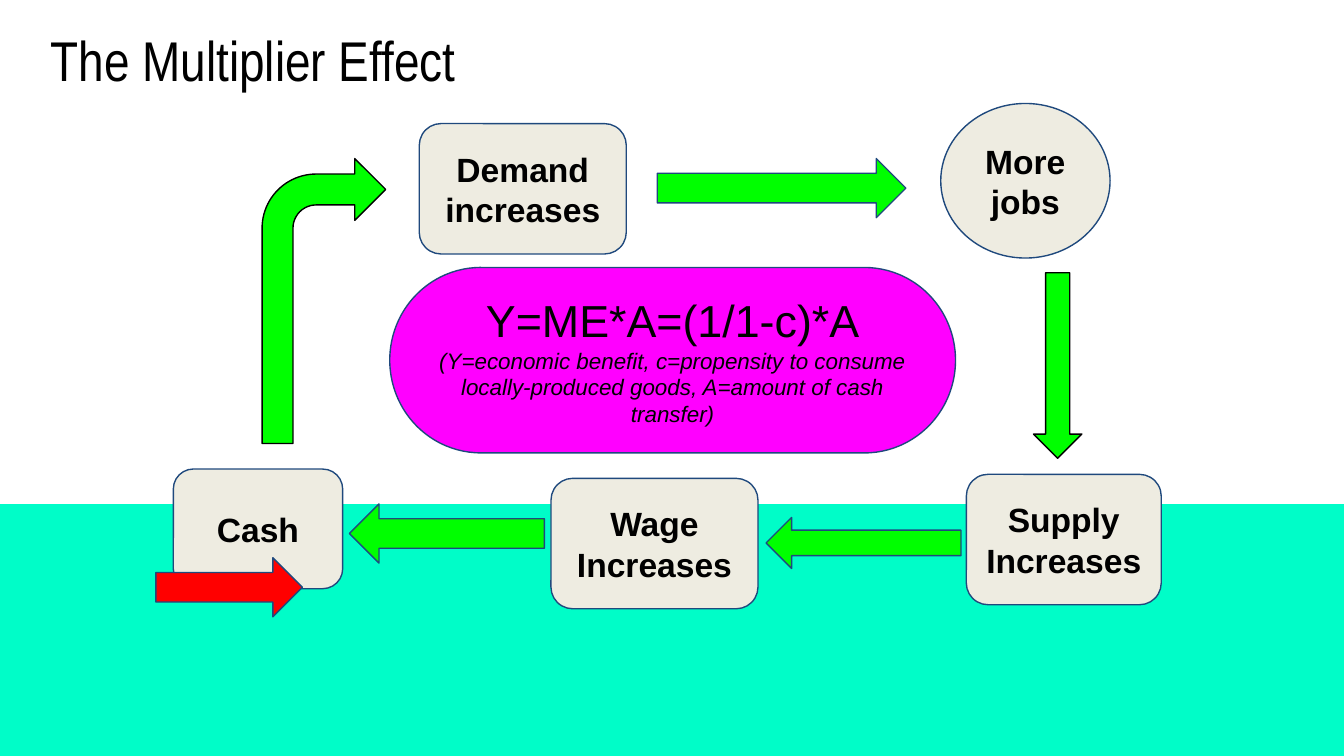
"""Build the multiplier effect cycle slide."""
from pptx import Presentation
from pptx.dml.color import RGBColor
from pptx.enum.shapes import MSO_SHAPE
from pptx.enum.text import MSO_ANCHOR, PP_ALIGN
from pptx.util import Inches, Pt

RECTANGLE, ROUNDED, OVAL = MSO_SHAPE.RECTANGLE, MSO_SHAPE.ROUNDED_RECTANGLE, MSO_SHAPE.OVAL
RIGHT, LEFT, DOWN = MSO_SHAPE.RIGHT_ARROW, MSO_SHAPE.LEFT_ARROW, MSO_SHAPE.DOWN_ARROW
BENT, TERMINATOR = MSO_SHAPE.BENT_ARROW, MSO_SHAPE.FLOWCHART_TERMINATOR
TOP, MIDDLE = MSO_ANCHOR.TOP, MSO_ANCHOR.MIDDLE
CENTER, ALIGN_LEFT = PP_ALIGN.CENTER, PP_ALIGN.LEFT
AQUA, WHITE, BEIGE, NAVY = "00FDC8", "FFFFFF", "EEECE1", "1F497D"
RED, GREEN, MAGENTA, BLACK = "FF0000", "00FF00", "FF00FF", "000000"
WIDTH = 10
HEIGHT = WIDTH * 9 / 16

deck = Presentation()
deck.slide_width, deck.slide_height = Inches(WIDTH), Inches(HEIGHT)
page = deck.slides.add_slide(deck.slide_layouts[6])
page.background.fill.solid()
page.background.fill.fore_color.rgb = RGBColor.from_string(AQUA)


def add_figure(kind, place, fill, line=None):
    figure = page.shapes.add_shape(kind, *[Inches(length) for length in place])
    figure.shadow.inherit = False
    figure.fill.solid()
    figure.fill.fore_color.rgb = RGBColor.from_string(fill)
    if line:
        figure.line.color.rgb = RGBColor.from_string(line)
        figure.line.width = Pt(0.74)
    else:
        figure.line.fill.background()
    return figure


def write(box, text, sizes, font="Arial", align=CENTER, anchor=MIDDLE, bold=False):
    frame = box.text_frame
    frame.text = text
    frame.word_wrap = True
    frame.vertical_anchor = anchor
    frame.margin_left = frame.margin_right = Inches(0.1)
    frame.margin_top = frame.margin_bottom = Inches(0.1)
    for para, size in zip(frame.paragraphs, sizes):
        para.alignment = align
        for span in para.runs:
            span.font.name = font
            span.font.size = Pt(size)
            span.font.bold = bold
            span.font.color.rgb = RGBColor.from_string(BLACK)


add_figure(RECTANGLE, (0, 0, WIDTH, HEIGHT * 2 / 3), WHITE)

stages = [
    ("Cash", ROUNDED, (1.29, 3.49, 1.26, 0.89)),
    ("Demand increases", ROUNDED, (3.12, 0.92, 1.54, 0.97)),
    ("More jobs", OVAL, (7, 0.77, 1.26, 1.15)),
    ("Supply Increases", ROUNDED, (7.19, 3.53, 1.45, 0.97)),
    ("Wage Increases", ROUNDED, (4.1, 3.56, 1.54, 0.97)),
]
for label, kind, place in stages:
    write(add_figure(kind, place, BEIGE, NAVY), label, [18], bold=True)

arrows = [
    (RIGHT, (1.16, 4.15, 1.09, 0.44), RED, NAVY),
    (BENT, (1.95, 1.18, 0.92, 2.12), GREEN, BLACK),
    (RIGHT, (4.89, 1.18, 1.85, 0.44), GREEN, NAVY),
    (DOWN, (7.69, 2.03, 0.36, 1.38), GREEN, BLACK),
    (LEFT, (5.7, 3.85, 1.45, 0.38), GREEN, NAVY),
    (LEFT, (2.6, 3.75, 1.45, 0.44), GREEN, NAVY),
]
for arrow in arrows:
    add_figure(*arrow)

formula = add_figure(TERMINATOR, (2.9, 1.99, 4.21, 1.38), MAGENTA, NAVY)
write(formula, "Y=ME*A=(1/1-c)*A\n(Y=economic benefit, c=propensity to consume "
      "locally-produced goods, A=amount of cash transfer)", [24, 12])
formula.text_frame.paragraphs[1].runs[0].font.italic = True

title = page.shapes.add_textbox(Inches(0.28), Inches(0.09), Inches(4.1), Inches(0.76))
write(title, "The Multiplier Effect", [30], "Arial Narrow", ALIGN_LEFT, TOP)

deck.save("out.pptx")
